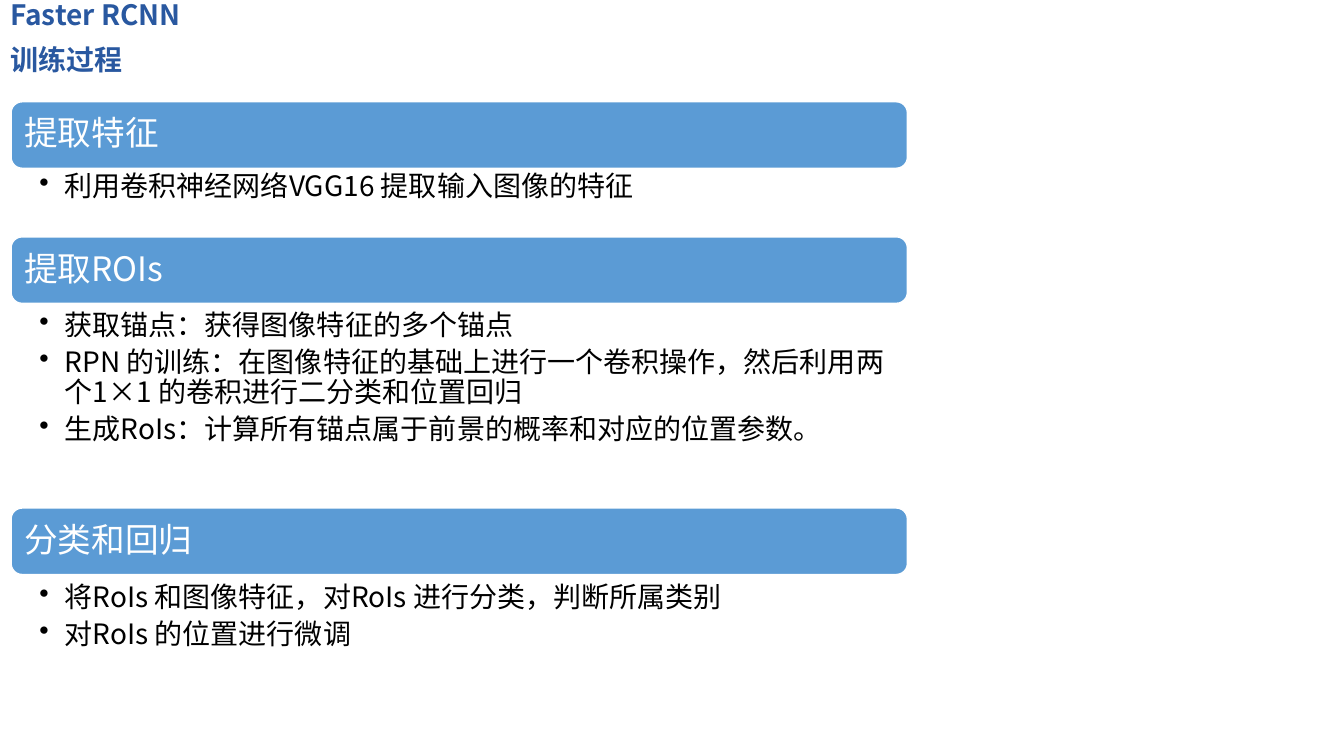
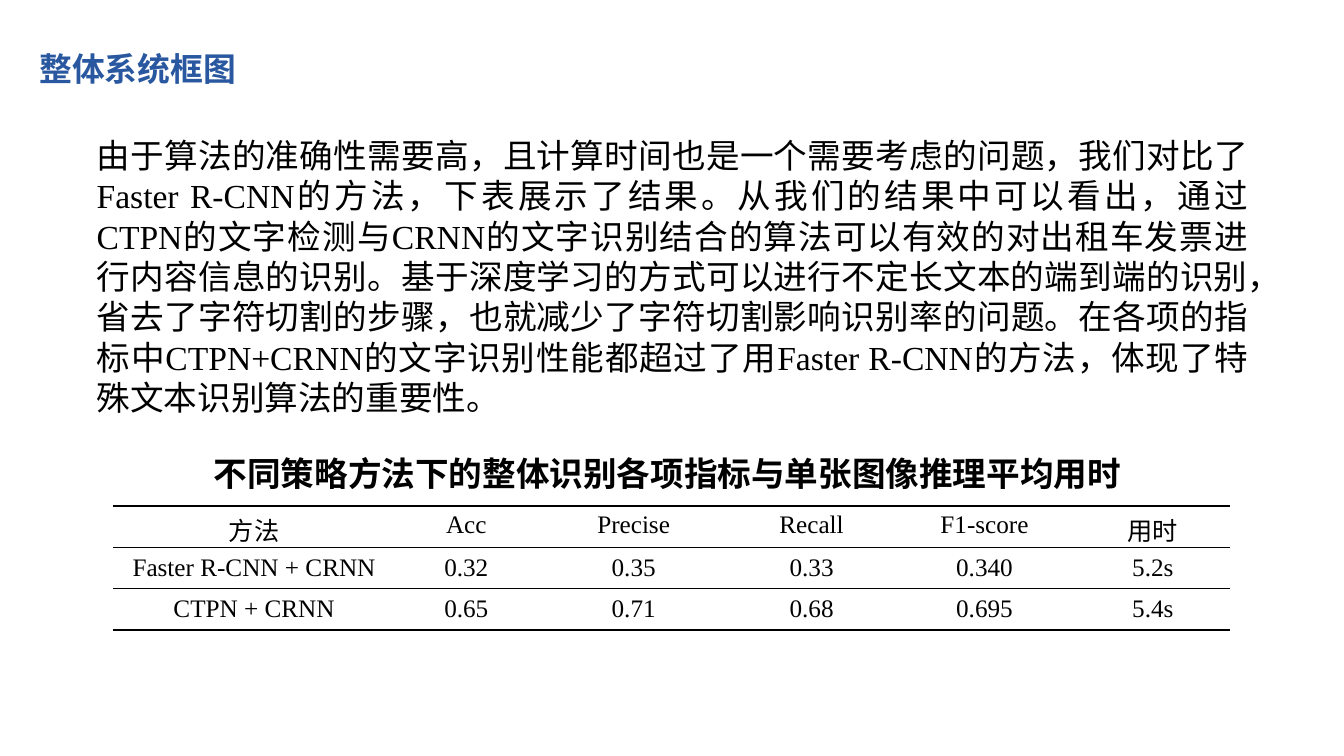
"""Build two slides on Faster RCNN training and the overall recognition results."""
from pptx import Presentation
from pptx.dml.color import RGBColor
from pptx.enum.shapes import MSO_SHAPE
from pptx.enum.text import MSO_ANCHOR, MSO_AUTO_SIZE, PP_ALIGN
from pptx.oxml.xmlchemy import OxmlElement
from pptx.util import Inches, Pt

SANS = "Noto Sans CJK SC"
SERIF = "Times New Roman"
TITLE_BLUE = "2958A0"
BAND_BLUE = "5B9BD5"
WHITE = "FFFFFF"
BLACK = "000000"


def format_text(paragraph, size, color, font=SANS, bold=False, align=PP_ALIGN.LEFT):
    paragraph.alignment = align
    for run in paragraph.runs:
        run.font.size = Pt(size)
        run.font.bold = bold
        run.font.color.rgb = RGBColor.from_string(color)
        run.font.name = font
        east_asian = OxmlElement("a:ea")
        east_asian.set("typeface", SANS)
        run._r.get_or_add_rPr().append(east_asian)


def add_titled_slide(text, left, top, width, height, size):
    slide = prs.slides.add_slide(prs.slide_layouts[5])
    title = slide.shapes.title
    title.left, title.top = Inches(left), Inches(top)
    title.width, title.height = Inches(width), Inches(height)
    frame = title.text_frame
    frame.text = text
    frame.word_wrap = True
    frame.auto_size = MSO_AUTO_SIZE.NONE
    frame.vertical_anchor = MSO_ANCHOR.MIDDLE
    for index, paragraph in enumerate(frame.paragraphs):
        paragraph.line_spacing = 0.9
        paragraph.space_before = Pt(10 if index else 0)
        format_text(paragraph, size, TITLE_BLUE, bold=True)
    return slide


prs = Presentation()
prs.slide_width = Inches(13.33)
prs.slide_height = Inches(7.5)

training = add_titled_slide("Faster RCNN\n训练过程", 0, 0, 5.95, 0.77, 20)
stages = [
    (1.01, "提取特征", 1.68, 0.91, ["利用卷积神经网络VGG16 提取输入图像的特征"]),
    (2.35, "提取ROIs", 3.06, 1.98, [
        "获取锚点：获得图像特征的多个锚点",
        "RPN 的训练：在图像特征的基础上进行一个卷积操作，然后利用两个1×1 的卷积进行二分类和位置回归",
        "生成RoIs：计算所有锚点属于前景的概率和对应的位置参数。",
    ]),
    (5.04, "分类和回归", 5.76, 1.05, [
        "将RoIs 和图像特征，对RoIs 进行分类，判断所属类别",
        "对RoIs 的位置进行微调",
    ]),
]
for band_top, heading, steps_top, steps_height, steps in stages:
    band = training.shapes.add_shape(
        MSO_SHAPE.ROUNDED_RECTANGLE, Inches(0.11), Inches(band_top), Inches(8.89), Inches(0.66))
    band.shadow.inherit = False
    band.fill.solid()
    band.fill.fore_color.rgb = RGBColor.from_string(BAND_BLUE)
    band.line.color.rgb = RGBColor.from_string(WHITE)
    band.line.width = Pt(1)
    frame = band.text_frame
    frame.text = heading
    frame.word_wrap = True
    frame.margin_left = frame.margin_right = Inches(0.1)
    frame.vertical_anchor = MSO_ANCHOR.MIDDLE
    frame.paragraphs[0].line_spacing = 0.9
    format_text(frame.paragraphs[0], 24, WHITE)

    details = training.shapes.add_textbox(
        Inches(0.11), Inches(steps_top), Inches(8.89), Inches(steps_height))
    frame = details.text_frame
    frame.text = "\n".join(steps)
    frame.word_wrap = True
    frame.margin_left, frame.margin_right = Inches(0.28), Inches(0.16)
    frame.margin_top = frame.margin_bottom = Inches(0.03)
    for paragraph in frame.paragraphs:
        properties = paragraph._p.get_or_add_pPr()
        properties.set("marL", str(Inches(0.25)))
        properties.set("indent", str(-Inches(0.25)))
        bullet = OxmlElement("a:buChar")
        bullet.set("char", "•")
        properties.append(bullet)
        paragraph.line_spacing = 0.9
        paragraph.space_after = Pt(4.8)
        format_text(paragraph, 20, BLACK)

results = add_titled_slide("整体系统框图", 0.29, 0.24, 6.21, 0.93, 23.4)
summary = results.shapes.add_textbox(Inches(0.86), Inches(1.29), Inches(11.62), Inches(2.93))
summary.text_frame.word_wrap = True
summary.text_frame.text = (
    "由于算法的准确性需要高，且计算时间也是一个需要考虑的问题，我们对比了Faster R-CNN的方法，"
    "下表展示了结果。从我们的结果中可以看出，通过CTPN的文字检测与CRNN的文字识别结合的算法"
    "可以有效的对出租车发票进行内容信息的识别。基于深度学习的方式可以进行不定长文本的端到端的识别，"
    "省去了字符切割的步骤，也就减少了字符切割影响识别率的问题。在各项的指标中CTPN+CRNN的文字识别性能"
    "都超过了用Faster R-CNN的方法，体现了特殊文本识别算法的重要性。"
)
format_text(summary.text_frame.paragraphs[0], 24, BLACK, SERIF, align=PP_ALIGN.JUSTIFY)

scores = [
    ["方法", "Acc", "Precise", "Recall", "F1-score", "用时"],
    ["Faster R-CNN + CRNN", "0.32", "0.35", "0.33", "0.340", "5.2s"],
    ["CTPN + CRNN", "0.65", "0.71", "0.68", "0.695", "5.4s"],
]
column_widths = [2.8, 1.41, 1.91, 1.62, 1.81, 1.53]
score_table = results.shapes.add_table(
    len(scores), len(column_widths), Inches(1.12), Inches(5.02),
    Inches(sum(column_widths)), Inches(0.41 * len(scores))).table
score_table.first_row = False
score_table.horz_banding = False
for column, width in zip(score_table.columns, column_widths):
    column.width = Inches(width)
for row_index, row in enumerate(scores):
    score_table.rows[row_index].height = Inches(0.41)
    for column_index, value in enumerate(row):
        cell = score_table.cell(row_index, column_index)
        cell.text = value
        cell.vertical_anchor = MSO_ANCHOR.MIDDLE if row_index else MSO_ANCHOR.TOP
        format_text(cell.text_frame.paragraphs[0], 18, BLACK, SERIF, align=PP_ALIGN.CENTER)
        cell_properties = cell._tc.get_or_add_tcPr()
        for side in ("L", "R", "T", "B"):
            border = OxmlElement(f"a:ln{side}")
            if side in "TB":
                border.set("w", str(Pt(1)))
                stroke = OxmlElement("a:solidFill")
                ink = OxmlElement("a:srgbClr")
                ink.set("val", BLACK)
                stroke.append(ink)
            else:
                stroke = OxmlElement("a:noFill")
            border.append(stroke)
            cell_properties.append(border)
        cell.fill.background()

caption = results.shapes.add_textbox(Inches(2.02), Inches(4.44), Inches(9.29), Inches(0.5))
caption.text_frame.word_wrap = False
caption.text_frame.text = "不同策略方法下的整体识别各项指标与单张图像推理平均用时"
format_text(caption.text_frame.paragraphs[0], 24, BLACK, SERIF, bold=True)

prs.save("out.pptx")
